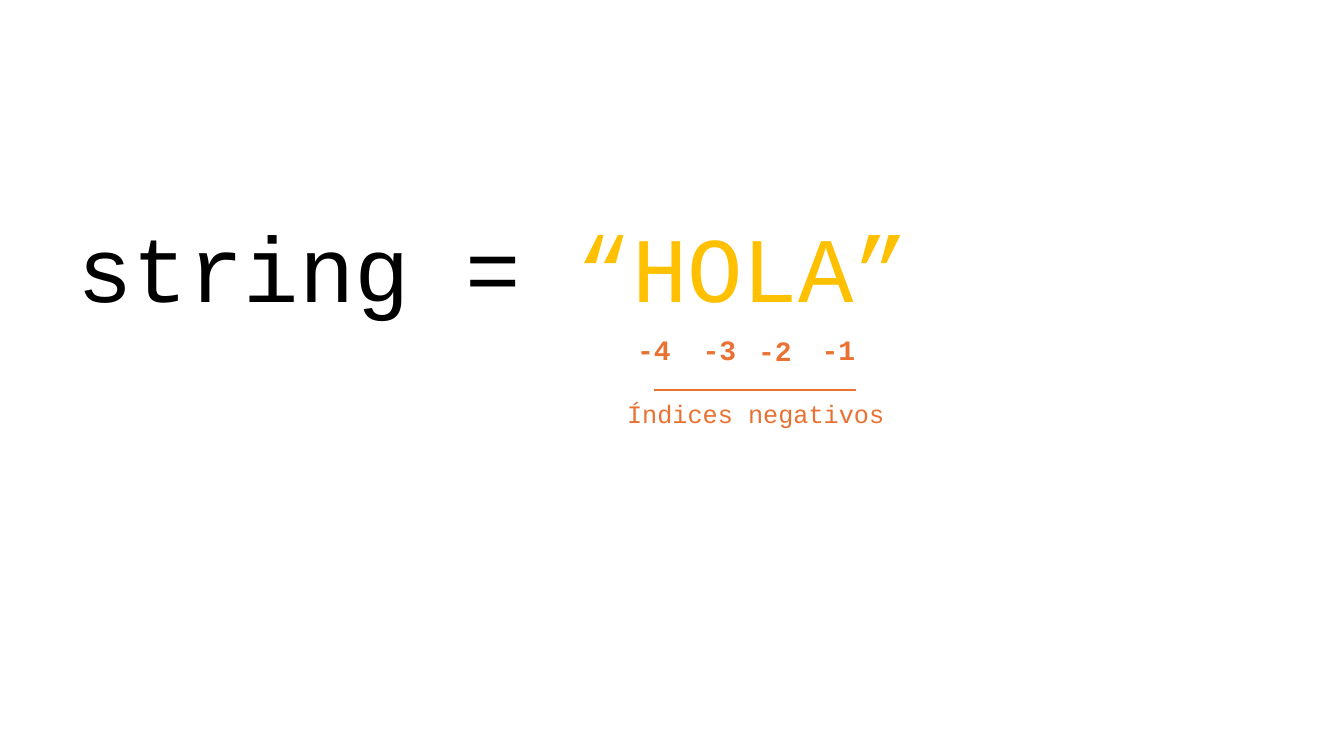
from dataclasses import dataclass

from lxml import etree
from pptx import Presentation
from pptx.dml.color import RGBColor
from pptx.enum import shapes, text
from pptx.oxml.ns import qn
from pptx.util import Inches, Pt


@dataclass(frozen=True)
class Theme:
    font: str = "Courier New"
    code: RGBColor = RGBColor(0x00, 0x00, 0x00)
    literal: RGBColor = RGBColor(0xFF, 0xC0, 0x00)
    accent: RGBColor = RGBColor(0xE9, 0x71, 0x32)
    panel: RGBColor = RGBColor(0xFF, 0xFF, 0xFF)
    code_size: int = 66
    index_size: int = 20
    caption_size: int = 18
    line_width: float = 1.5


THEME = Theme()


def add_panel(group, left, top, width, height):
    panel = group.shapes.add_shape(
        shapes.MSO_SHAPE.RECTANGLE,
        Inches(left), Inches(top), Inches(width), Inches(height))
    panel.shadow.inherit = False
    panel.fill.solid()
    panel.fill.fore_color.rgb = THEME.panel
    panel.line.color.rgb = THEME.panel
    panel.line.width = Pt(THEME.line_width)


def add_text(group, left, top, width, height, runs, size,
             bold=False, align=text.PP_ALIGN.LEFT):
    """Add one line of text; runs is a list of (wording, colour)."""
    box = group.shapes.add_textbox(
        Inches(left), Inches(top), Inches(width), Inches(height))
    frame = box.text_frame
    frame.word_wrap = True
    frame.auto_size = text.MSO_AUTO_SIZE.SHAPE_TO_FIT_TEXT
    paragraph = frame.paragraphs[0]
    paragraph.alignment = align
    paragraph.font.name = THEME.font
    paragraph.font.size = Pt(size)
    paragraph.font.bold = bold
    for wording, colour in runs:
        run = paragraph.add_run()
        run.text = wording
        run.font.color.rgb = colour


def add_rule(group, left, right, y):
    rule = group.shapes.add_connector(
        shapes.MSO_CONNECTOR.STRAIGHT,
        Inches(left), Inches(y), Inches(right), Inches(y))
    rule.line.color.rgb = THEME.accent
    rule.line.width = Pt(THEME.line_width)
    etree.SubElement(rule._element.spPr, qn("a:effectLst"))


def main():
    presentation = Presentation()
    presentation.slide_width = Inches(13.33)
    presentation.slide_height = Inches(7.5)
    slide = presentation.slides.add_slide(presentation.slide_layouts[6])
    diagram = slide.shapes.add_group_shape()

    # Background panel and the assignment
    add_panel(diagram, 0.51, 0.87, 11.96, 4.62)
    add_text(diagram, 0.67, 2.04, 11.2, 1.21,
             [("string = ", THEME.code), ("“HOLA”", THEME.literal)],
             THEME.code_size)

    # Negative index under each letter
    for index, left, top in [("-4", 6.22, 3.25), ("-3", 6.87, 3.25),
                             ("-2", 7.42, 3.26), ("-1", 8.05, 3.25)]:
        add_text(diagram, left, top, 0.57, 0.44, [(index, THEME.accent)],
                 THEME.index_size, bold=True)

    # Rule and caption
    add_rule(diagram, 6.49, 8.49, 3.87)
    add_text(diagram, 4.41, 3.9, 6.17, 0.4,
             [("Índices negativos", THEME.accent)],
             THEME.caption_size, align=text.PP_ALIGN.CENTER)

    presentation.save("out.pptx")


if __name__ == "__main__":
    main()
